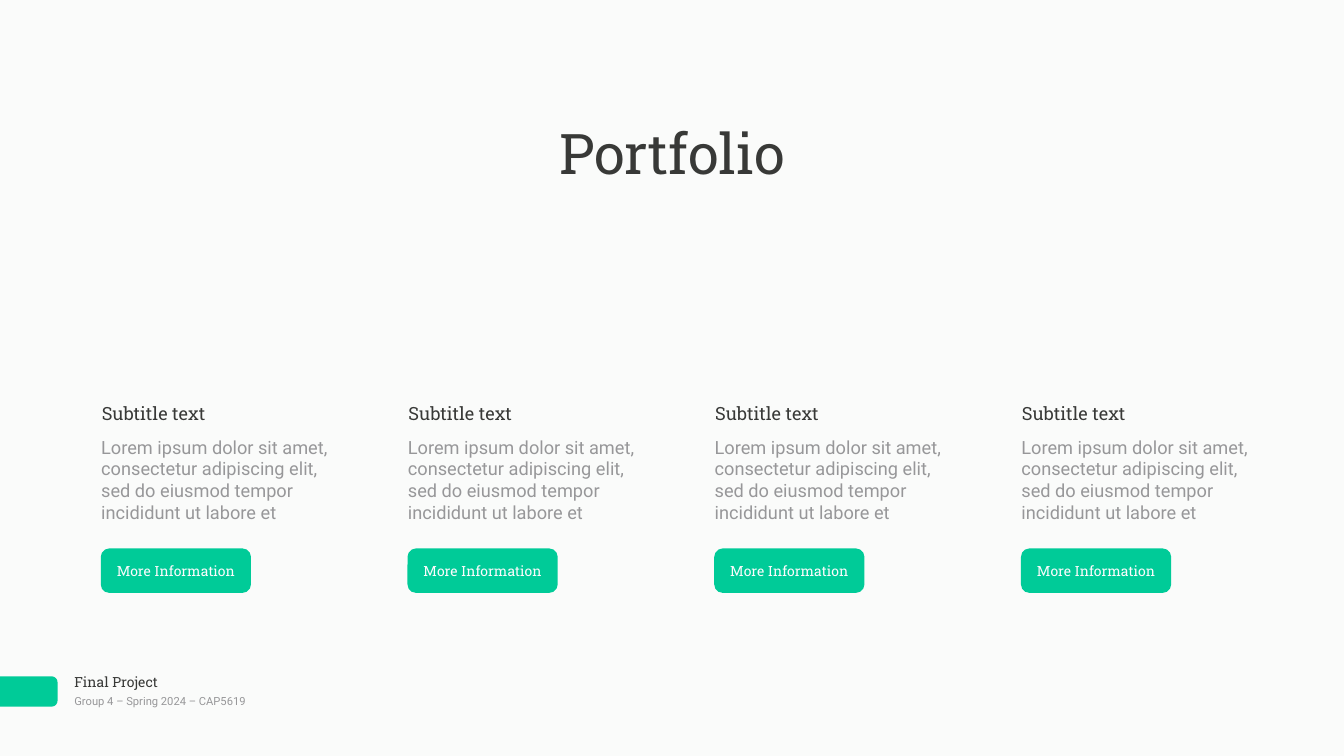
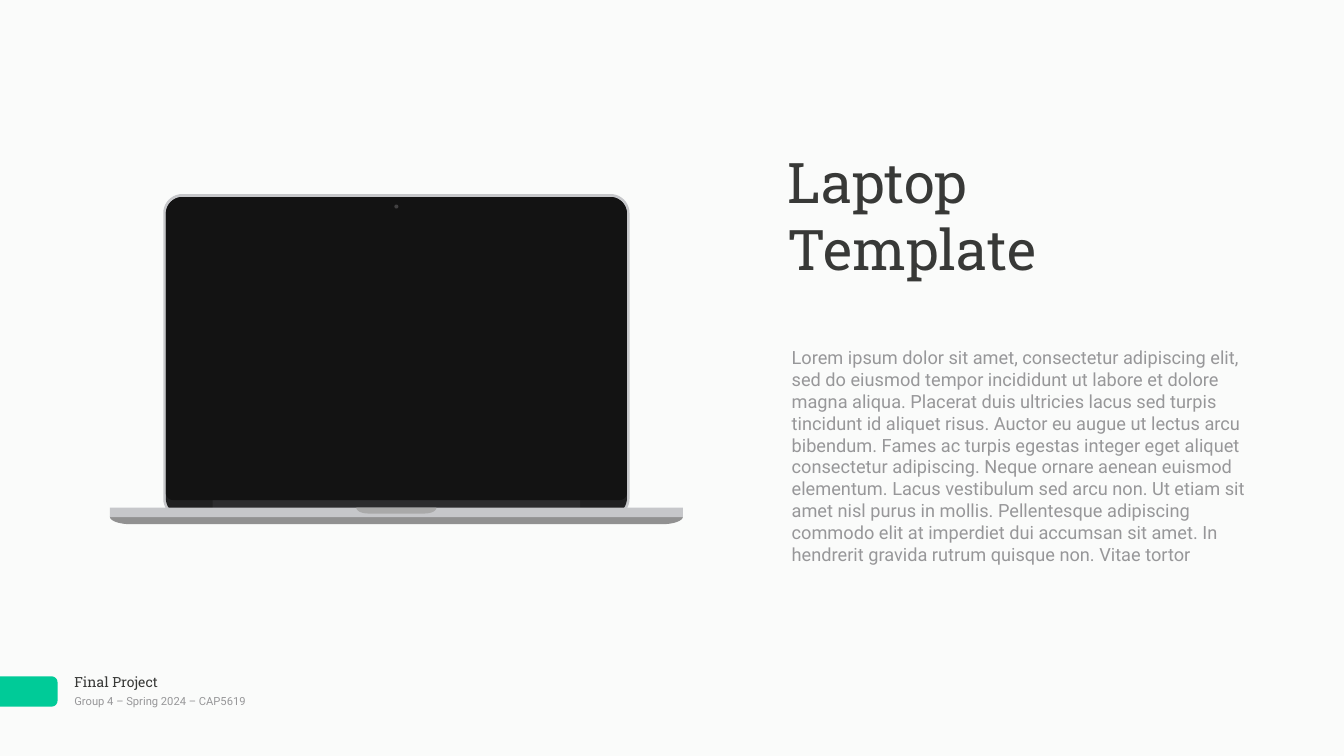
import math

import pptx
import pptx.dml.color
import pptx.enum.shapes
import pptx.enum.text
import pptx.oxml
import pptx.oxml.ns
import pptx.util

Cm = pptx.util.Cm
PRESET = pptx.enum.shapes.MSO_SHAPE
ALIGN = pptx.enum.text.PP_ALIGN
ANCHOR = pptx.enum.text.MSO_ANCHOR

# Content, with all lengths in centimetres
SLIDE_SIZE = (67.74, 38.1)
PAPER, INK, GREY, GREEN, WHITE = "FAFBFA", "383937", "979799", "00CB98", "FBFBFC"

STYLES = {
    "title": {"name": "Roboto Slab", "size": 80, "color": INK},
    "subtitle": {"name": "Roboto Slab", "size": 26, "color": INK},
    "body": {"name": "Roboto", "size": 26, "color": GREY},
    "button": {"name": "Roboto Slab", "size": 20, "color": WHITE},
    "project": {"name": "Roboto Slab", "size": 20, "color": INK},
    "course": {"name": "Roboto", "size": 16, "color": GREY},
}

FOOTER = [
    ("Final Project", "project", (3.6, 33.78, 8.1, 1.14), ANCHOR.TOP),
    ("Group 4 – Spring 2024 – CAP5619", "course", (3.6, 34.87, 12, 0.97), ANCHOR.MIDDLE),
]
FOOTER_TAB = (-0.25, 34.09, 3.15, 1.52)
TAB_CORNERS = ((0, 0), (0.3, 0.3), (0.3, 0.3), (0, 0))

PORTFOLIO = {
    "title": "Portfolio",
    "title_box": (23.7, 5.84, 20.35, 3.71),
    "columns": [
        (
            "Subtitle text",
            "Lorem ipsum dolor sit amet, consectetur adipiscing elit, "
            "sed do eiusmod tempor incididunt ut labore et",
            "More Information",
        )
    ] * 4,
}
COLUMN_PITCH = 15.46
SUBTITLE_BOX = (4.98, 20.12, 11.46, 1.4)
SUMMARY_BOX = (4.95, 21.82, 12.14, 4.72)
BUTTON_BOX = (5.08, 27.64, 7.57, 2.24)

LAPTOP = {
    "title": "Laptop Template",
    "title_box": (39.55, 7.29, 19.99, 7.11),
    "body": "Lorem ipsum dolor sit amet, consectetur adipiscing elit, sed do eiusmod "
    "tempor incididunt ut labore et dolore magna aliqua. Placerat duis ultricies "
    "lacus sed turpis tincidunt id aliquet risus. Auctor eu augue ut lectus arcu "
    "bibendum. Fames ac turpis egestas integer eget aliquet consectetur adipiscing. "
    "Neque ornare aenean euismod elementum. Lacus vestibulum sed arcu non. Ut etiam "
    "sit amet nisl purus in mollis. Pellentesque adipiscing commodo elit at imperdiet "
    "dui accumsan sit amet. In hendrerit gravida rutrum quisque non. Vitae tortor",
    "body_box": (39.75, 17.32, 23.67, 11.4),
}
LAPTOP_CENTRE = 19.98
# Top, width, height, colour, then a preset or corner radii (from top left, clockwise)
LAPTOP_PARTS = {
    "case": (9.78, 23.5, 16.32, "C6C7CA", ((0.96, 0.96),) * 4),
    "bezel": (9.93, 23.24, 16.03, "202021", ((0.84, 0.84),) * 4),
    "hinge": (25.17, 18.52, 0.79, "2C2C2E", PRESET.RECTANGLE),
    "screen": (9.93, 23.24, 15.27, "131313", ((0.84, 0.84),) * 2 + ((0.36, 0.36),) * 2),
    "camera": (10.31, 0.2, 0.2, "414041", PRESET.OVAL),
    "foot": (26.04, 28.88, 0.38, "919191", ((0, 0),) * 2 + ((1.05, 0.38),) * 2),
    "deck": (25.58, 28.88, 0.48, "C6C7CA", PRESET.RECTANGLE),
    "notch": (25.58, 4.04, 0.3, "A9A9A9", ((0, 0),) * 2 + ((0.58, 0.3),) * 2),
}

FRAME_FORMAT = {
    "word_wrap": True,
    "auto_size": pptx.enum.text.MSO_AUTO_SIZE.NONE,
    **{f"margin_{side}": Cm(0.15) for side in ("left", "top", "right", "bottom")},
}


def rgb(colour):
    return pptx.dml.color.RGBColor.from_string(colour)


def lengths(box):
    return [Cm(value) for value in box]


def place(shape, box):
    for side, value in zip(("left", "top", "width", "height"), lengths(box)):
        setattr(shape, side, value)


def write(shape, text, style, align=ALIGN.LEFT, anchor=ANCHOR.TOP):
    """Fill a shape with one unbulleted paragraph in a named style."""
    frame = shape.text_frame
    for name, value in {**FRAME_FORMAT, "vertical_anchor": anchor}.items():
        setattr(frame, name, value)
    paragraph = frame.paragraphs[0]
    properties = paragraph._p.get_or_add_pPr()
    properties.set("marL", "0")
    properties.set("indent", "0")
    properties.append(
        pptx.oxml.parse_xml(f"<a:buNone {pptx.oxml.ns.nsdecls('a')}/>")
    )
    spacing = {
        "alignment": align,
        "line_spacing": 1.0,
        "space_before": pptx.util.Pt(0),
        "space_after": pptx.util.Pt(0),
    }
    for name, value in spacing.items():
        setattr(paragraph, name, value)
    run = paragraph.add_run()
    run.text = text
    look = STYLES[style]
    run.font.name = look["name"]
    run.font.size = pptx.util.Pt(look["size"])
    run.font.color.rgb = rgb(look["color"])


def add_text(shapes, text, style, box, anchor=ANCHOR.TOP):
    label = shapes.add_textbox(*lengths(box))
    write(label, text, style, anchor=anchor)
    return label


def paint(shape, colour):
    shape.shadow.inherit = False
    shape.fill.solid()
    shape.fill.fore_color.rgb = rgb(colour)
    shape.line.fill.background()
    return shape


def add_preset(shapes, preset, box, colour):
    return paint(shapes.add_shape(preset, *lengths(box)), colour)


def add_rounded(shapes, box, corners, colour, steps=10):
    """Draw a box whose four corners have their own (horizontal, vertical) radii."""
    left, top, width, height = box
    outline = []
    for index, (rx, ry) in enumerate(corners):
        x = left + (width - rx if index in (1, 2) else rx)
        y = top + (height - ry if index in (2, 3) else ry)
        for step in range(steps + 1 if rx else 1):
            angle = math.pi * (1 + index / 2 + step / steps / 2)
            outline.append((Cm(x + rx * math.cos(angle)), Cm(y + ry * math.sin(angle))))
    builder = shapes.build_freeform(*outline[0])
    builder.add_line_segments(outline[1:], close=True)
    return paint(builder.convert_to_shape(), colour)


def add_footer(master, slide):
    """Draw the footer on a slide, then move it to the master all slides share."""
    parts = [add_text(slide.shapes, *entry) for entry in FOOTER]
    parts.append(add_rounded(slide.shapes, FOOTER_TAB, TAB_CORNERS, GREEN))
    for part in parts:
        master.shapes.element.append(part.element)


def add_title(slide, content, align):
    place(slide.shapes.title, content["title_box"])
    write(slide.shapes.title, content["title"], "title", align)


def fill_portfolio(slide):
    add_title(slide, PORTFOLIO, ALIGN.CENTER)
    for index, (subtitle, summary, action) in enumerate(PORTFOLIO["columns"]):
        subtitle_box, summary_box, button_box = (
            (left + index * COLUMN_PITCH, *rest)
            for left, *rest in (SUBTITLE_BOX, SUMMARY_BOX, BUTTON_BOX)
        )
        add_text(slide.shapes, subtitle, "subtitle", subtitle_box)
        add_text(slide.shapes, summary, "body", summary_box)
        button = add_preset(slide.shapes, PRESET.ROUNDED_RECTANGLE, button_box, GREEN)
        button.adjustments[0] = 0.19
        write(button, action, "button", ALIGN.CENTER, ANCHOR.MIDDLE)


def fill_laptop(slide):
    add_title(slide, LAPTOP, ALIGN.LEFT)
    body = slide.placeholders[1]
    place(body, LAPTOP["body_box"])
    write(body, LAPTOP["body"], "body")
    laptop = slide.shapes.add_group_shape().shapes
    for top, width, height, colour, form in LAPTOP_PARTS.values():
        box = (LAPTOP_CENTRE - width / 2, top, width, height)
        if isinstance(form, tuple):
            add_rounded(laptop, box, form, colour)
        else:
            add_preset(laptop, form, box, colour)


def main():
    deck = pptx.Presentation()
    deck.slide_width, deck.slide_height = lengths(SLIDE_SIZE)
    background = deck.slide_master.background.fill
    background.solid()
    background.fore_color.rgb = rgb(PAPER)

    portfolio = deck.slides.add_slide(deck.slide_layouts.get_by_name("Title Only"))
    add_footer(deck.slide_master, portfolio)
    fill_portfolio(portfolio)
    fill_laptop(
        deck.slides.add_slide(deck.slide_layouts.get_by_name("Title and Content"))
    )
    deck.save("out.pptx")


if __name__ == "__main__":
    main()
